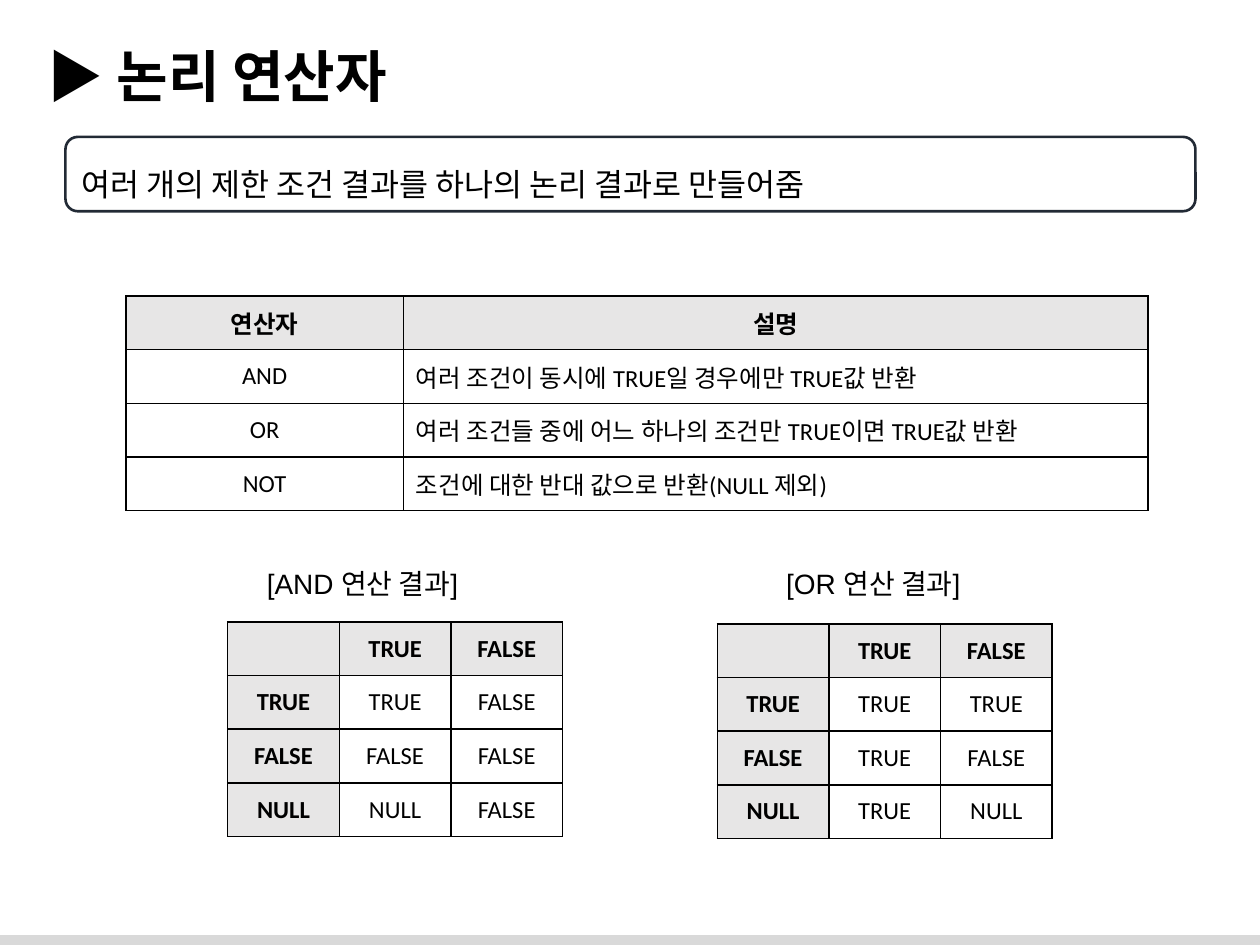
from dataclasses import dataclass

from lxml import etree
from pptx import Presentation
from pptx.dml.color import RGBColor
from pptx.enum import shapes, text
from pptx.oxml import ns
from pptx.util import Cm, Pt


@dataclass(frozen=True)
class Theme:
    ink: str = "000000"
    head_fill: str = "E7E6E6"
    cell_fill: str = "FFFFFF"
    box_line: str = "222A35"
    band: str = "D9D9D9"
    body_font: str = "Arial"
    table_font: str = "Calibri"
    title_size: int = 32
    summary_size: int = 18
    caption_size: int = 16
    table_size: int = 14


THEME = Theme()
ROW_HEIGHT = 1.08

OPERATORS = [
    ["연산자", "설명"],
    ["AND", "여러 조건이 동시에 TRUE일 경우에만 TRUE값 반환"],
    ["OR", "여러 조건들 중에 어느 하나의 조건만 TRUE이면 TRUE값 반환"],
    ["NOT", "조건에 대한 반대 값으로 반환(NULL 제외)"],
]
AND_RESULTS = [
    ["", "TRUE", "FALSE"],
    ["TRUE", "TRUE", "FALSE"],
    ["FALSE", "FALSE", "FALSE"],
    ["NULL", "NULL", "FALSE"],
]
OR_RESULTS = [
    ["", "TRUE", "FALSE"],
    ["TRUE", "TRUE", "TRUE"],
    ["FALSE", "TRUE", "FALSE"],
    ["NULL", "TRUE", "NULL"],
]


def rgb(value):
    return RGBColor.from_string(value)


def write(tf, words, size, font=THEME.body_font, bold=False,
          align=text.PP_ALIGN.LEFT):
    p = tf.paragraphs[0]
    p.text = words
    p.alignment = align
    p.font.name = font
    p.font.size = Pt(size)
    p.font.bold = bold
    p.font.color.rgb = rgb(THEME.ink)
    return p


def set_borders(cell):
    """Draw a 1 pt line on each side; borders must precede the cell fill."""
    tc_pr = cell._tc.get_or_add_tcPr()
    for i, side in enumerate(("lnL", "lnR", "lnT", "lnB")):
        ln = etree.Element(ns.qn(f"a:{side}"), w=str(Pt(1)))
        fill = etree.SubElement(ln, ns.qn("a:solidFill"))
        etree.SubElement(fill, ns.qn("a:srgbClr"), val=THEME.ink)
        tc_pr.insert(i, ln)


def add_grid(s, left, top, widths, rows, head_column=False, left_columns=()):
    """Add a bordered table with a shaded first row and, if asked, first column."""
    frame = s.shapes.add_table(
        len(rows), len(widths), Cm(left), Cm(top),
        Cm(sum(widths)), Cm(ROW_HEIGHT * len(rows)))
    table = frame.table
    for column, width in zip(table.columns, widths):
        column.width = Cm(width)
    for r, row in enumerate(rows):
        table.rows[r].height = Cm(ROW_HEIGHT)
        for c, words in enumerate(row):
            cell = table.cell(r, c)
            head = r == 0 or (head_column and c == 0)
            to_left = c in left_columns and not head
            cell.vertical_anchor = text.MSO_ANCHOR.MIDDLE
            cell.fill.solid()
            cell.fill.fore_color.rgb = rgb(
                THEME.head_fill if head else THEME.cell_fill)
            set_borders(cell)
            write(cell.text_frame, words, THEME.table_size, THEME.table_font,
                  head, text.PP_ALIGN.LEFT if to_left else text.PP_ALIGN.CENTER)


def add_bottom_band(s, left, top, width, height):
    sp = s.shapes.add_shape(shapes.MSO_SHAPE.RECTANGLE,
                            Cm(left), Cm(top), Cm(width), Cm(height))
    sp.shadow.inherit = False
    sp.fill.solid()
    sp.fill.fore_color.rgb = rgb(THEME.band)
    sp.line.fill.background()


def place_title(s, left, top, width, height, words):
    title = s.shapes.title
    title.left, title.top = Cm(left), Cm(top)
    title.width, title.height = Cm(width), Cm(height)
    tf = title.text_frame
    tf.auto_size = text.MSO_AUTO_SIZE.NONE
    tf.vertical_anchor = text.MSO_ANCHOR.TOP
    write(tf, words, THEME.title_size, bold=True)


def add_summary(s, left, top, width, height, words):
    sp = s.shapes.add_shape(shapes.MSO_SHAPE.ROUNDED_RECTANGLE,
                            Cm(left), Cm(top), Cm(width), Cm(height))
    sp.shadow.inherit = False
    sp.fill.background()
    sp.line.color.rgb = rgb(THEME.box_line)
    sp.line.width = Pt(1.5)
    tf = sp.text_frame
    tf.word_wrap = True
    tf.vertical_anchor = text.MSO_ANCHOR.MIDDLE
    write(tf, words, THEME.summary_size).line_spacing = 1.5


def add_truth_table(s, left, top, width, caption, caption_box, rows):
    """caption_box is left, top and width, measured from the table's corner."""
    add_grid(s, left, top, [width / 3] * 3, rows, head_column=True)
    dx, dy, caption_width = caption_box
    box = s.shapes.add_textbox(Cm(left + dx), Cm(top + dy),
                               Cm(caption_width), Cm(0.94))
    box.text_frame.word_wrap = False
    write(box.text_frame, caption, THEME.caption_size)


def main():
    prs = Presentation()
    prs.slide_width, prs.slide_height = Cm(25.4), Cm(19.05)
    s = prs.slides.add_slide(prs.slide_layouts[5])
    add_bottom_band(s, 0, 18.85, 25.4, 0.2)
    place_title(s, 0.71, 0.71, 24, 1.62, "▶ 논리 연산자")
    add_summary(s, 1.32, 2.76, 22.78, 1.5,
                "여러 개의 제한 조건 결과를 하나의 논리 결과로 만들어줌")
    add_grid(s, 2.54, 5.97, [5.59, 15.01], OPERATORS, left_columns=(1,))
    add_truth_table(s, 4.59, 12.54, 6.75, "[AND 연산 결과]",
                    (0.54, -1.24, 4.93), AND_RESULTS)
    add_truth_table(s, 14.46, 12.58, 6.75, "[OR 연산 결과]",
                    (1.14, -1.28, 4.32), OR_RESULTS)
    prs.save("out.pptx")


if __name__ == "__main__":
    main()
